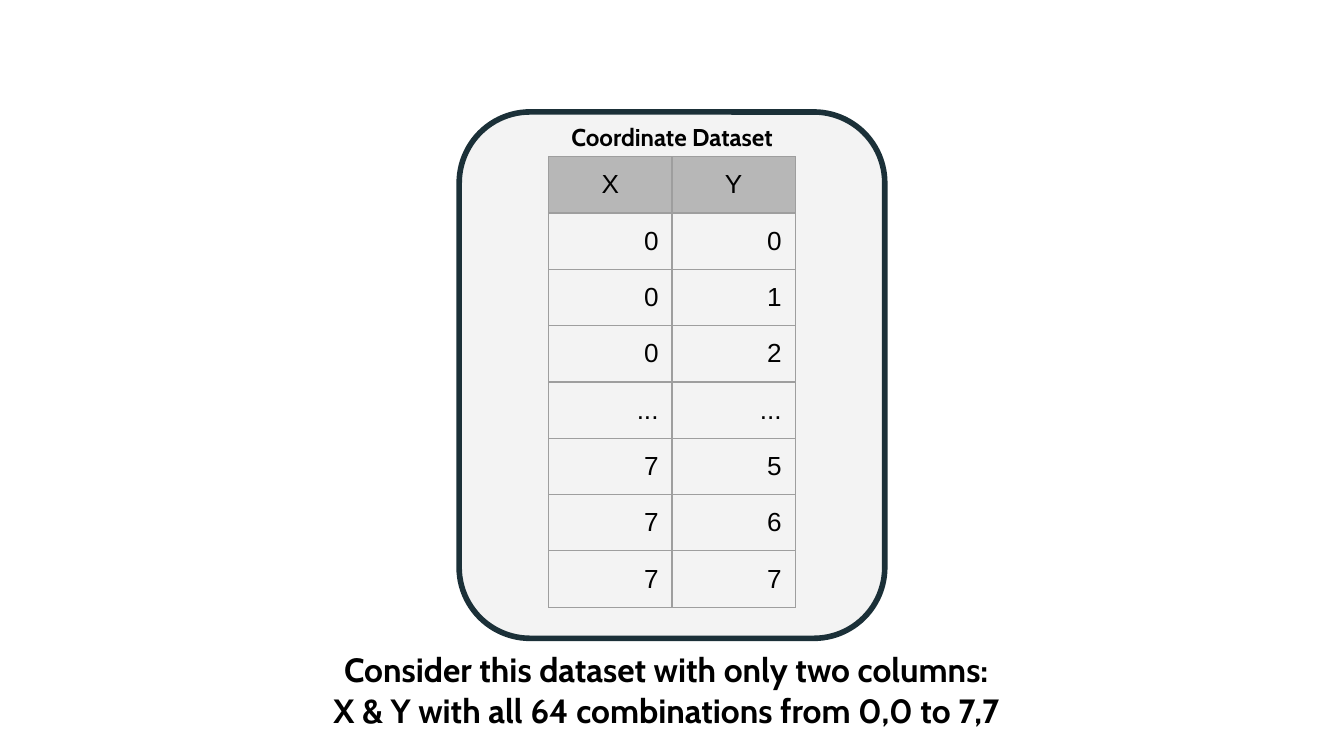
from lxml import etree
from pptx import Presentation
from pptx import util as u
from pptx.dml.color import RGBColor
from pptx.enum import shapes, text
from pptx.oxml.ns import qn

BLACK = RGBColor(0x00, 0x00, 0x00)
NAVY = RGBColor(0x1B, 0x30, 0x38)
PALE = RGBColor(0xF3, 0xF3, 0xF3)
HEADER = RGBColor(0xB7, 0xB7, 0xB7)
RULE = RGBColor(0x9E, 0x9E, 0x9E)
HEADING_FONT = "Cabin"
CELL_FONT = "Arial"
SLIDE_WIDTH = u.Inches(10)
SLIDE_HEIGHT = u.Emu(SLIDE_WIDTH * 9 // 16)
GRID_UNIT = SLIDE_WIDTH / 120

COORDINATES = [
    ("X", "Y"),
    ("0", "0"),
    ("0", "1"),
    ("0", "2"),
    ("...", "..."),
    ("7", "5"),
    ("7", "6"),
    ("7", "7"),
]


def grid(*units):
    return [u.Emu(round(unit * GRID_UNIT)) for unit in units]


class SlideBuilder:
    def __init__(self, slide):
        self.slide = slide

    def style(self, para, words, size, font, align, bold=False):
        para.text = words
        para.alignment = align
        para.font.size = u.Pt(size)
        para.font.name = font
        para.font.bold = bold
        para.font.color.rgb = BLACK

    def panel(self, left, top, width, height):
        panel = self.slide.shapes.add_shape(
            shapes.MSO_SHAPE.ROUNDED_RECTANGLE, *grid(left, top, width, height))
        panel.shadow.inherit = False
        panel.fill.solid()
        panel.fill.fore_color.rgb = PALE
        panel.line.color.rgb = NAVY
        panel.line.width = u.Pt(3)

    def label(self, words, size, left, top, width, height):
        box = self.slide.shapes.add_textbox(*grid(left, top, width, height))
        frame = box.text_frame
        frame.word_wrap = True
        frame.margin_left = frame.margin_right = u.Inches(0.08)
        frame.margin_top = frame.margin_bottom = u.Inches(0.08)
        self.style(frame.paragraphs[0], words, size, HEADING_FONT,
                   text.PP_ALIGN.CENTER, bold=True)

    def borders(self, cell):
        properties = cell._tc.get_or_add_tcPr()
        for position, side in enumerate(("lnL", "lnR", "lnT", "lnB")):
            line = etree.Element(qn(f"a:{side}"), w=str(u.Pt(0.75)))
            fill = etree.SubElement(line, qn("a:solidFill"))
            etree.SubElement(fill, qn("a:srgbClr"), val=str(RULE))
            properties.insert(position, line)

    def table(self, rows, left, top, column_width, row_height):
        columns = len(rows[0])
        frame = self.slide.shapes.add_table(
            len(rows), columns,
            *grid(left, top, column_width * columns, row_height * len(rows)))
        table = frame.table
        table.first_row = table.horz_banding = False
        for row_index, row in enumerate(rows):
            for column_index, words in enumerate(row):
                cell = table.cell(row_index, column_index)
                cell.margin_left = cell.margin_right = cell.margin_top = u.Inches(0.1)
                cell.margin_bottom = u.Inches(0.08)
                if row_index == 0:
                    cell.fill.solid()
                    cell.fill.fore_color.rgb = HEADER
                    align = text.PP_ALIGN.CENTER
                else:
                    cell.fill.background()
                    align = text.PP_ALIGN.RIGHT
                self.style(cell.text_frame.paragraphs[0], words, 14, CELL_FONT, align)
                self.borders(cell)


def main():
    deck = Presentation()
    deck.slide_width = SLIDE_WIDTH
    deck.slide_height = SLIDE_HEIGHT
    page = SlideBuilder(deck.slides.add_slide(deck.slide_layouts[6]))
    page.label("Consider this dataset with only two columns:\n"
               "X & Y with all 64 combinations from 0,0 to 7,7", 18, 16, 57, 87, 3)
    page.panel(41, 10, 38, 47)
    page.label("Coordinate Dataset", 13, 41, 10, 38, 3.75)
    page.table(COORDINATES, left=49, top=14, column_width=11, row_height=5.03)
    deck.save("out.pptx")


if __name__ == "__main__":
    main()
